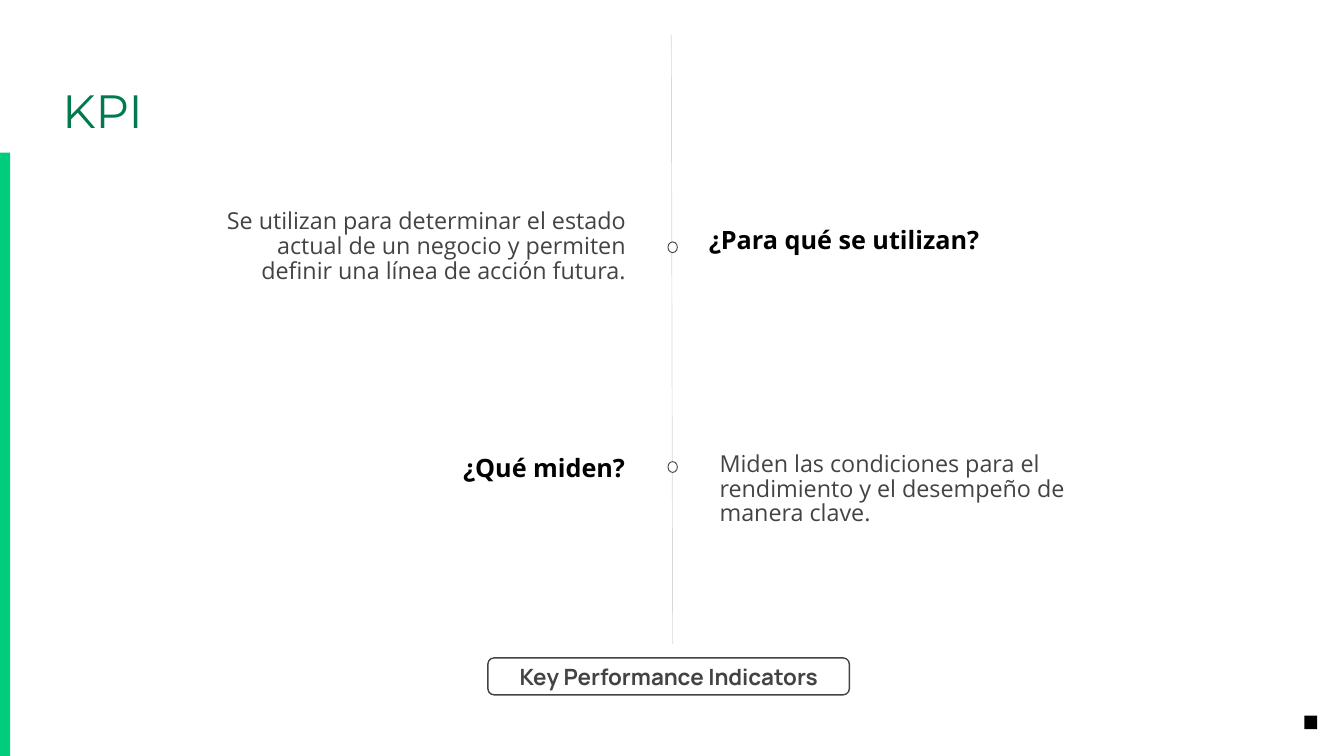
from lxml import etree
from pptx import Presentation
from pptx.dml.color import RGBColor
from pptx.enum.shapes import MSO_CONNECTOR, MSO_SHAPE
from pptx.enum.text import MSO_ANCHOR, PP_ALIGN
from pptx.oxml.ns import qn
from pptx.util import Inches, Pt

LEFT, RIGHT, MID = PP_ALIGN.LEFT, PP_ALIGN.RIGHT, PP_ALIGN.CENTER
TOP, MIDDLE = MSO_ANCHOR.TOP, MSO_ANCHOR.MIDDLE
RECT, OVAL, ROUND = MSO_SHAPE.RECTANGLE, MSO_SHAPE.OVAL, MSO_SHAPE.ROUNDED_RECTANGLE
STRAIGHT = MSO_CONNECTOR.STRAIGHT

GREEN = RGBColor(0x00, 0xCC, 0x7E)
DARK = RGBColor(0x00, 0x7A, 0x4C)
GRAY = RGBColor(0x43, 0x43, 0x43)
PALE = RGBColor(0xD8, 0xD8, 0xD8)
BLACK = RGBColor(0, 0, 0)
WHITE = RGBColor(255, 255, 255)

WIDTH, HEIGHT = 20, 11.25
AXIS = WIDTH / 2
WIDE = 6.15
TITLE = "KPI"
LABEL = "Key Performance Indicators"
HEADS = [
    ("¿Para qué se utilizan?", 10.45, 2.89, LEFT),
    ("¿Qué miden?", 3.25, 6.29, RIGHT),
]
NOTES = [
    ("Miden las condiciones para el rendimiento y el desempeño de manera clave.",
     10.61, 6.69, LEFT),
    ("Se utilizan para determinar el estado actual de un negocio y permiten "
     "definir una línea de acción futura.", 3.26, 3.08, RIGHT),
]
DOTS = [3.6, 6.87]


def box(*sides):
    return [Inches(side) for side in sides]


def write(frame, text, font, size, color, align=LEFT, bold=False,
          anchor=TOP, pads=(0.1, 0.05, 0.1, 0.05), space=None):
    frame.word_wrap = True
    frame.vertical_anchor = anchor
    (frame.margin_left, frame.margin_top,
     frame.margin_right, frame.margin_bottom) = box(*pads)
    para = frame.paragraphs[0]
    para.alignment = align
    para.line_spacing = space
    run = para.add_run()
    run.text = text
    run.font.name = font
    run.font.size = Pt(size)
    run.font.bold = bold
    run.font.color.rgb = color


def draw(slide, kind, place, fill=None, line=None, weight=1):
    shape = slide.shapes.add_shape(kind, *box(*place))
    shape.shadow.inherit = False
    if fill is None:
        shape.fill.background()
    else:
        shape.fill.solid()
        shape.fill.fore_color.rgb = fill
    if line is None:
        shape.line.fill.background()
    else:
        shape.line.color.rgb = line
        shape.line.width = Pt(weight)
    return shape


def main():
    deck = Presentation()
    deck.slide_width, deck.slide_height = box(WIDTH, HEIGHT)
    slide = deck.slides.add_slide(deck.slide_layouts[5])

    title = slide.shapes.title
    title.left, title.top, title.width, title.height = box(0.93, 1.12, 18.13, 0.84)
    write(title.text_frame, TITLE, "Montserrat", 50, DARK, pads=(0, 0.1, 0.1, 0.1))

    draw(slide, RECT, (0, 2.27, 0.15, HEIGHT - 2.27), GREEN)
    draw(slide, RECT, (19.41, 10.65, 0.19, 0.2), BLACK)

    axis = slide.shapes.add_connector(
        STRAIGHT, *box(AXIS - 0.01, 0.52, AXIS + 0.01, 9.58))
    axis.line.color.rgb = PALE
    axis.line.width = Pt(0.75)
    etree.SubElement(axis.element.spPr, qn("a:effectLst"))
    for top in DOTS:
        draw(slide, OVAL, (AXIS - 0.06, top, 0.14, 0.16), WHITE, GRAY)

    for text, left, top, align in HEADS:
        area = slide.shapes.add_textbox(*box(left, top, WIDE, 2.2))
        write(area.text_frame, text, "Open Sans", 27, BLACK, align, True,
              pads=(0.1, 0.5, 0.1, 0.05), space=0.88)
    for text, left, top, align in NOTES:
        area = slide.shapes.add_textbox(*box(left, top, WIDE, 1.4))
        write(area.text_frame, text, "Open Sans", 25, GRAY, align, space=0.88)

    label = draw(slide, ROUND, (7.26, 9.79, 5.38, 0.55), line=GRAY, weight=1.5)
    label.adjustments[0] = 0.17
    write(label.text_frame, LABEL, "Manrope", 24, GRAY, MID, True, MIDDLE)

    deck.save("out.pptx")


if __name__ == "__main__":
    main()
